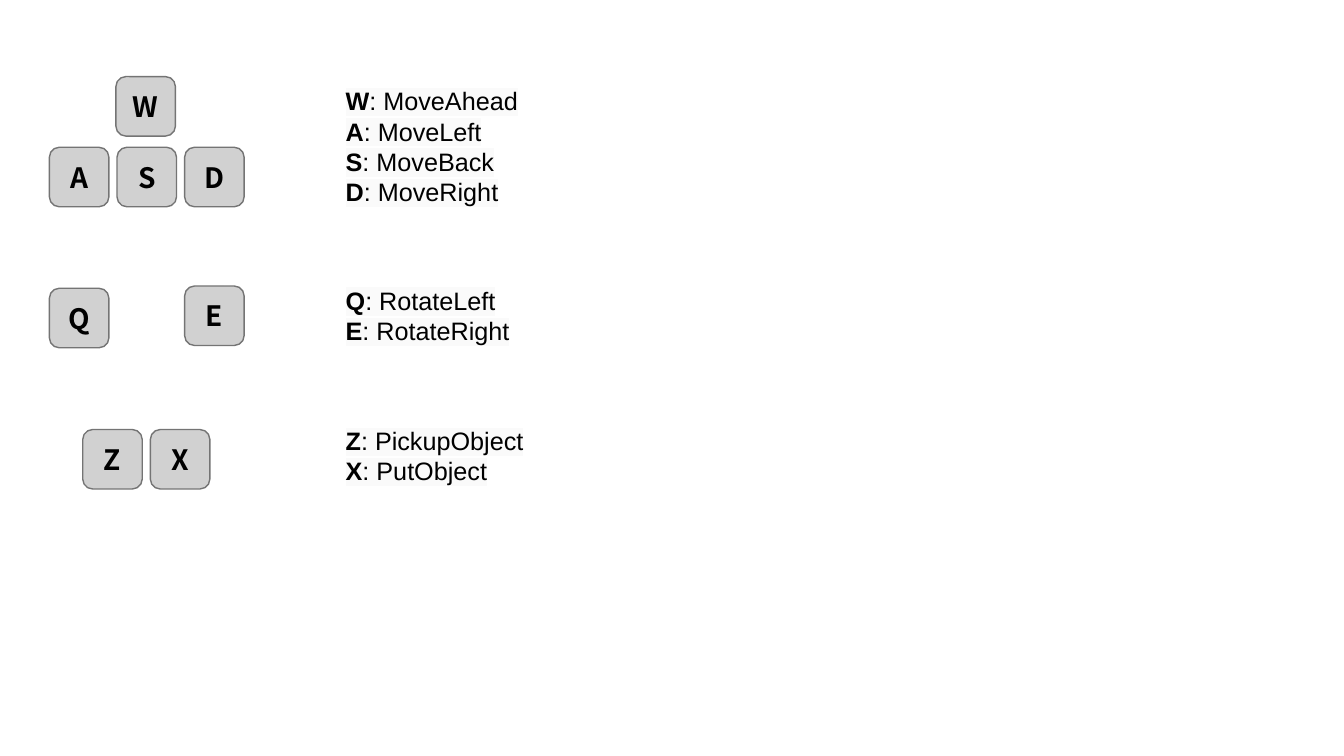
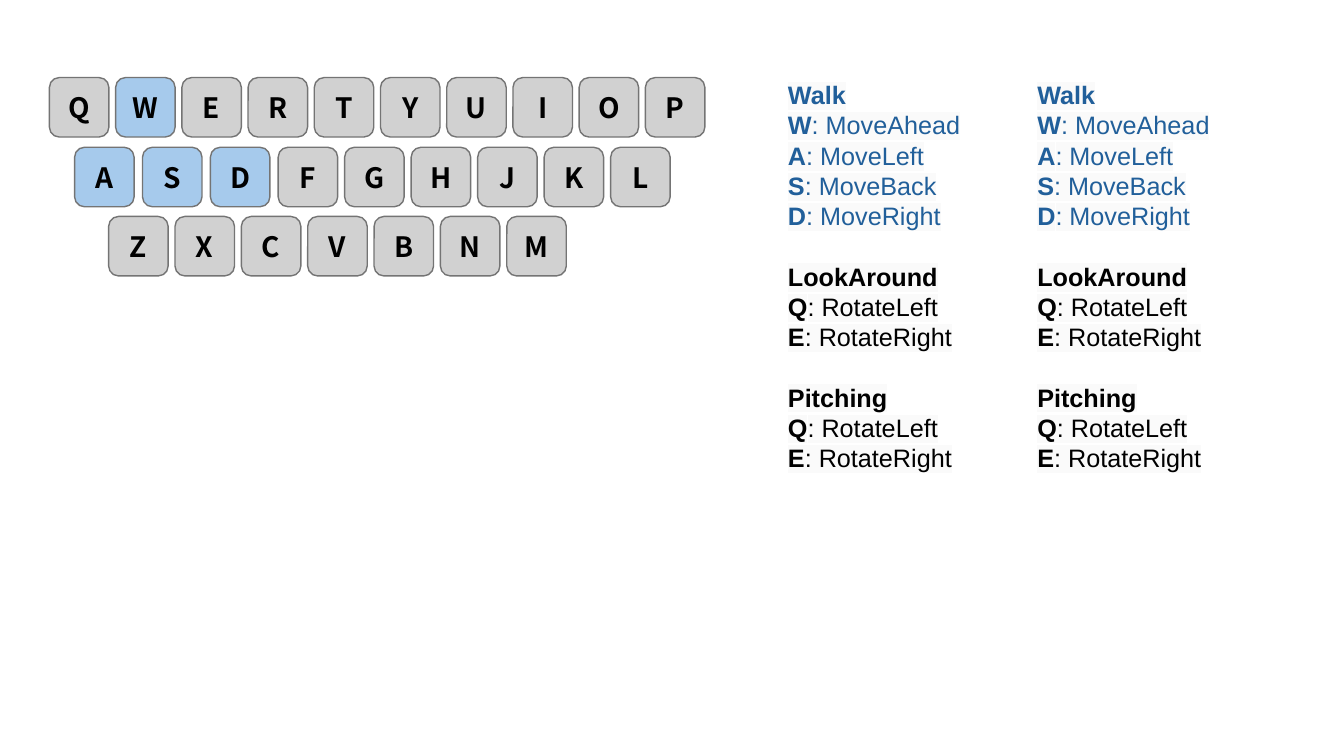
import dataclasses

import lxml.etree
import pptx
import pptx.dml.color
import pptx.enum.shapes
import pptx.enum.text
import pptx.oxml.ns
import pptx.util

Pt = pptx.util.Pt


@dataclasses.dataclass(frozen=True)
class Theme:
    key_fill: str = "D1D1D1"
    key_active: str = "A6CAEC"
    key_line: str = "747474"
    text: str = "000000"
    accent: str = "215F9A"
    highlight: str = "FAFAFA"
    key_font: str = "Noto Sans CJK SC"
    legend_font: str = "Arial"
    key_text_size: float = 20
    legend_text_size: float = 18
    legend_leading: float = 21.6
    key_side: float = 42.5
    inset: float = 3.6


THEME = Theme()

WALK = [("W", "MoveAhead"), ("A", "MoveLeft"), ("S", "MoveBack"), ("D", "MoveRight")]
ROTATE = [("Q", "RotateLeft"), ("E", "RotateRight")]
HANDLE = [("Z", "PickupObject"), ("X", "PutObject")]

GROUPED_LEGEND = [
    ("Walk", WALK, THEME.accent),
    ("LookAround", ROTATE, THEME.text),
    ("Pitching", ROTATE, THEME.text),
]

# fields: letters, left, top, pitch, fill
SLIDES = [
    {
        "key_rows": [
            ("W", 82.8, 54.7, 0, THEME.key_fill),
            ("ASD", 35.3, 105.2, 48.3, THEME.key_fill),
            ("Q", 35.3, 205.9, 0, THEME.key_fill),
            ("E", 131.9, 204.3, 0, THEME.key_fill),
            ("ZX", 59.1, 306.8, 48.3, THEME.key_fill),
        ],
        "legends": [
            (239.8, 57.6, 480, [(None, WALK, THEME.text)]),
            (239.8, 200.1, 480, [(None, ROTATE, THEME.text)]),
            (239.8, 300.2, 480, [(None, HANDLE, THEME.text)]),
        ],
    },
    {
        "key_rows": [
            ("Q", 35.3, 55.4, 0, THEME.key_fill),
            ("W", 82.6, 55.4, 0, THEME.key_active),
            ("ERTYUIOP", 129.9, 55.4, 47.3, THEME.key_fill),
            ("ASD", 53.3, 105.2, 48.5, THEME.key_active),
            ("FGHJKL", 198.7, 105.2, 47.5, THEME.key_fill),
            ("ZXCVBNM", 77.6, 154.6, 47.4, THEME.key_fill),
        ],
        "legends": [(left, 53.3, 152, GROUPED_LEGEND) for left in (555.8, 733.9)],
    },
]


def color(value):
    return pptx.dml.color.RGBColor.from_string(value)


def format_run(run, font_name, size, text_color, bold):
    run.font.name = font_name
    run.font.size = Pt(size)
    run.font.bold = bold
    run.font.color.rgb = color(text_color)


def add_highlight(run):
    properties = run.font._element
    highlight = lxml.etree.Element(pptx.oxml.ns.qn("a:highlight"))
    value = lxml.etree.SubElement(highlight, pptx.oxml.ns.qn("a:srgbClr"))
    value.set("val", THEME.highlight)
    properties.find(pptx.oxml.ns.qn("a:solidFill")).addnext(highlight)


def add_key(slide, letter, left, top, fill):
    key = slide.shapes.add_shape(
        pptx.enum.shapes.MSO_SHAPE.ROUNDED_RECTANGLE,
        Pt(left), Pt(top), Pt(THEME.key_side), Pt(THEME.key_side),
    )
    key.shadow.inherit = False
    key.fill.solid()
    key.fill.fore_color.rgb = color(fill)
    key.line.color.rgb = color(THEME.key_line)
    key.line.width = Pt(1)
    text_frame = key.text_frame
    text_frame.text = letter
    text_frame.vertical_anchor = pptx.enum.text.MSO_ANCHOR.MIDDLE
    paragraph = text_frame.paragraphs[0]
    paragraph.alignment = pptx.enum.text.PP_ALIGN.CENTER
    format_run(paragraph.runs[0], THEME.key_font, THEME.key_text_size, THEME.text, True)


def add_key_row(slide, letters, left, top, pitch, fill):
    for column, letter in enumerate(letters):
        add_key(slide, letter, left + column * pitch, top, fill)


def legend_lines(groups):
    for index, (heading, commands, text_color) in enumerate(groups):
        gap = THEME.legend_leading if index else 0
        if heading:
            yield [(heading, True)], text_color, gap
            gap = 0
        for letter, command in commands:
            yield [(letter, True), (f": {command}", False)], text_color, gap
            gap = 0


def add_legend(slide, left, top, width, groups):
    lines = list(legend_lines(groups))
    height = 2 * THEME.inset + sum(THEME.legend_leading + gap for _, _, gap in lines)
    text_frame = slide.shapes.add_textbox(Pt(left), Pt(top), Pt(width), Pt(height)).text_frame
    text_frame.word_wrap = True
    text_frame.auto_size = pptx.enum.text.MSO_AUTO_SIZE.SHAPE_TO_FIT_TEXT
    for index, (parts, text_color, gap) in enumerate(lines):
        paragraph = text_frame.add_paragraph() if index else text_frame.paragraphs[0]
        paragraph.line_spacing = Pt(THEME.legend_leading)
        paragraph.space_before = Pt(gap)
        for text, bold in parts:
            run = paragraph.add_run()
            run.text = text
            format_run(run, THEME.legend_font, THEME.legend_text_size, text_color, bold)
            add_highlight(run)


def main():
    presentation = pptx.Presentation()
    presentation.slide_width = Pt(960)
    presentation.slide_height = Pt(540)
    for content in SLIDES:
        slide = presentation.slides.add_slide(presentation.slide_layouts[6])
        for row in content["key_rows"]:
            add_key_row(slide, *row)
        for legend in content["legends"]:
            add_legend(slide, *legend)
    presentation.save("out.pptx")


if __name__ == "__main__":
    main()
